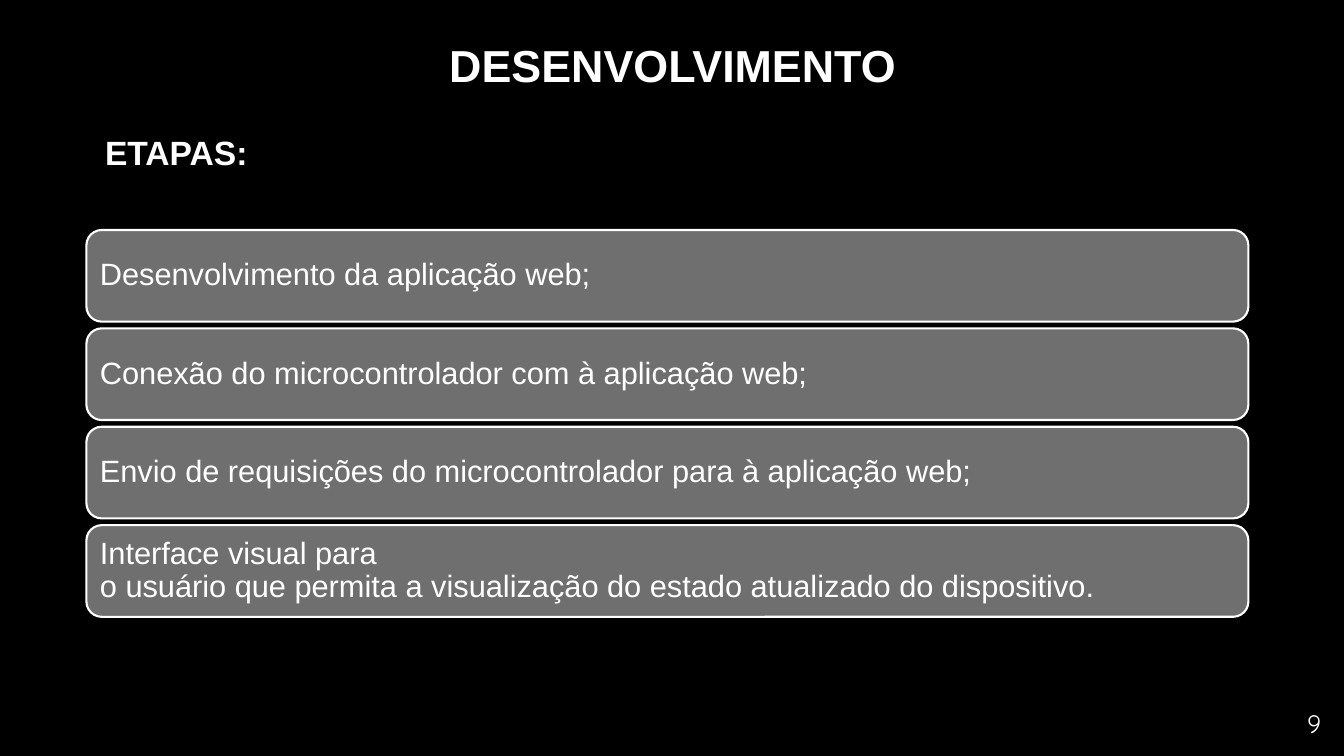
import pptx
import pptx.dml.color
import pptx.enum.shapes
import pptx.enum.text
import pptx.oxml
import pptx.oxml.ns
import pptx.util

Pt = pptx.util.Pt
ALIGN = pptx.enum.text.PP_ALIGN
MIDDLE = pptx.enum.text.MSO_ANCHOR.MIDDLE
COLORS = {"black": "000000", "white": "FFFFFF", "silver": "A6A6A6", "gray": "6F6F6F"}
NBSP = chr(160)
STEPS = [
    "Desenvolvimento da aplicação web;",
    "Conexão do microcontrolador com à aplicação web;",
    "Envio de requisições do microcontrolador para à aplicação web;",
    # The second part stays together on its own line.
    "Interface visual para " + NBSP.join(
        "o usuário que permita a visualização do estado atualizado do dispositivo.".split()),
]
SHADOW = (
    '<a:effectLst %s><a:outerShdw blurRad="38100" dist="25400" dir="2700000">'
    '<a:srgbClr val="%s"><a:alpha val="60000"/></a:srgbClr></a:outerShdw></a:effectLst>'
)


def rgb(name):
    return pptx.dml.color.RGBColor.from_string(COLORS[name])


def set_all(obj, values):
    for name, value in values.items():
        setattr(obj, name, value)


def write(sp, text, font, align=ALIGN.LEFT, spacing=1.0, **frame):
    """Put one white paragraph into a shape and return its run."""
    set_all(sp.text_frame, {"word_wrap": True, **frame})
    p = sp.text_frame.paragraphs[0]
    set_all(p, {"alignment": align, "line_spacing": spacing})
    r = p.add_run()
    r.text = text
    set_all(r.font, font)
    r.font.color.rgb = rgb("white")
    return r


def add_heading(s, box, text, size):
    """Centred bold text with a gradient fill and a soft shadow."""
    sp = s.shapes.add_textbox(*map(Pt, box))
    font = {"name": "Arial", "size": Pt(size), "bold": True}
    r = write(sp, text, font, ALIGN.CENTER, vertical_anchor=MIDDLE)
    fill = r.font.fill
    fill.gradient()
    fill.gradient_angle = 267
    for stop, name in zip(fill.gradient_stops, ("white", "silver")):
        stop.color.rgb = rgb(name)
    shadow = SHADOW % (pptx.oxml.ns.nsdecls("a"), COLORS["gray"])
    grad = r.font._element.find(pptx.oxml.ns.qn("a:gradFill"))
    grad.addnext(pptx.oxml.parse_xml(shadow))


def add_steps(s, box, steps, gap):
    """Stack one rounded bar per step, evenly filling the box."""
    left, top, width, height = box
    bar = (height - gap * (len(steps) - 1)) / len(steps)
    for i, step in enumerate(steps):
        sp = s.shapes.add_shape(
            pptx.enum.shapes.MSO_SHAPE.ROUNDED_RECTANGLE,
            Pt(left), Pt(top + i * (bar + gap)), Pt(width), Pt(bar))
        sp.shadow.inherit = False
        sp.fill.solid()
        sp.fill.fore_color.rgb = rgb("gray")
        sp.line.color.rgb = rgb("white")
        sp.line.width = Pt(1.5)
        write(sp, step, {"name": "Arial", "size": Pt(22)}, spacing=0.9,
              vertical_anchor=MIDDLE, margin_left=Pt(6.5), margin_right=Pt(6.5))


def add_page_number(s, box, number):
    sp = s.shapes.add_textbox(*map(Pt, box))
    write(sp, number, {"name": "Quicksand", "size": Pt(18)})


def main():
    prs = pptx.Presentation()
    set_all(prs, {"slide_width": Pt(960), "slide_height": Pt(540)})
    s = prs.slides.add_slide(prs.slide_layouts[6])
    s.background.fill.solid()
    s.background.fill.fore_color.rgb = rgb("black")
    add_page_number(s, (926.6, 502.6, 26, 29), "9")
    add_heading(s, (299.5, 9.4, 362, 74), "DESENVOLVIMENTO", 32)
    add_heading(s, (12.2, 71.3, 227.5, 74), "ETAPAS:", 24)
    add_steps(s, (61.7, 164.3, 830, 276.3), STEPS, 4.8)
    prs.save("out.pptx")


if __name__ == "__main__":
    main()
